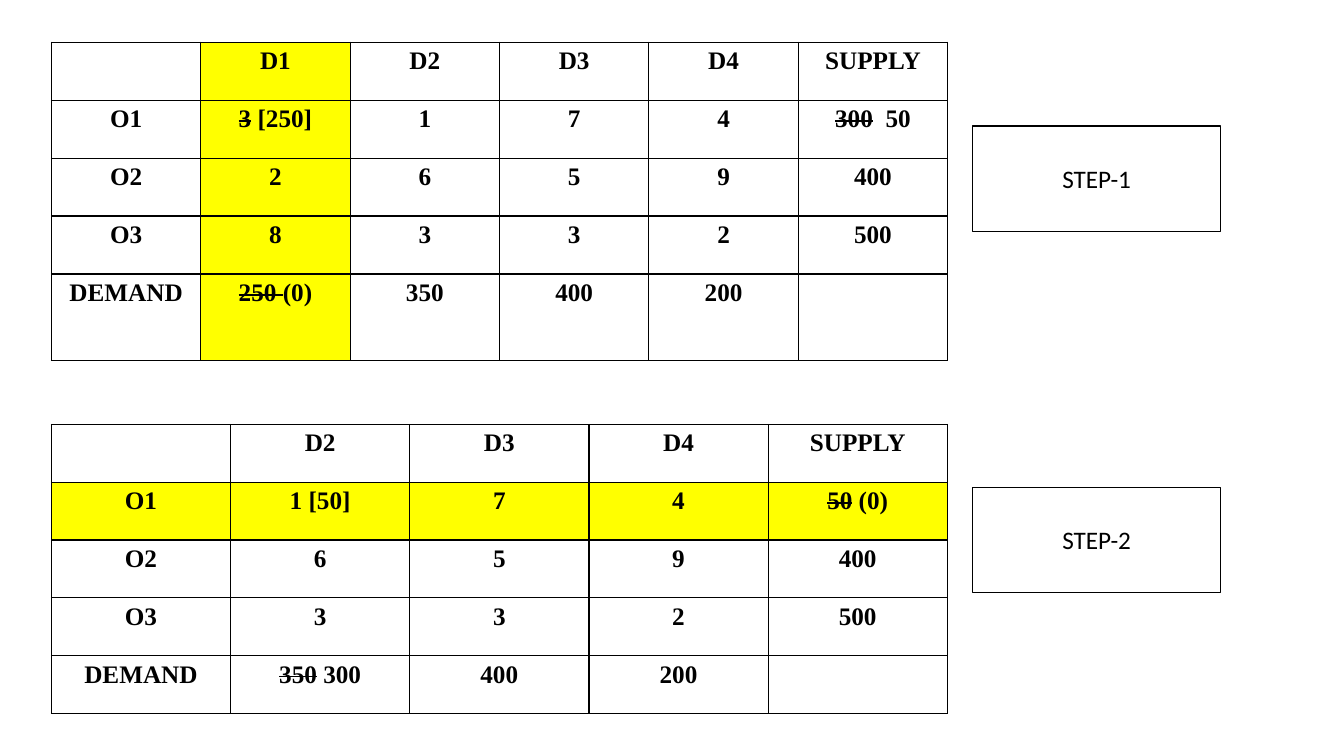
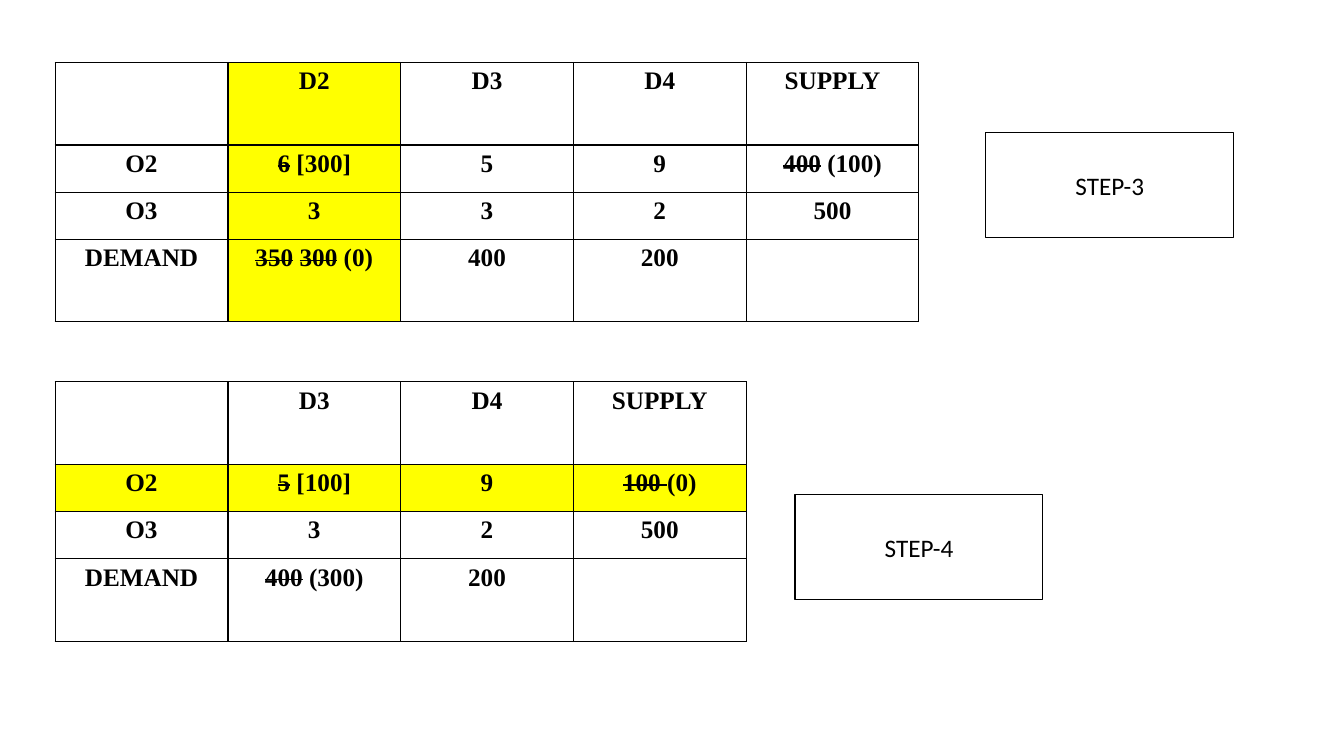
"""Build two slides that work through a transportation problem step by step."""
from dataclasses import dataclass

from lxml import etree
from pptx import Presentation
from pptx.dml.color import RGBColor
from pptx.enum import shapes, text
from pptx.oxml import ns
from pptx.util import Pt


@dataclass(frozen=True)
class Theme:
    """Colours, fonts and sizes shared by all slides."""
    ink: RGBColor = RGBColor(0, 0, 0)
    mark: RGBColor = RGBColor(255, 255, 0)
    cell_font: str = "Times New Roman"
    label_font: str = "Calibri"
    size: float = 18
    border: float = 1
    outline: float = 0.75
    label_width: float = 177.1
    label_height: float = 75.2


THEME = Theme()
CELL_FONT = {"name": THEME.cell_font, "size": Pt(THEME.size), "bold": True}
LABEL_FONT = {"name": THEME.label_font, "size": Pt(THEME.size), "bold": False}
MARGINS = {"margin_left": Pt(8), "margin_right": Pt(8),
           "margin_top": Pt(3.6), "margin_bottom": Pt(3.6)}

SLIDES = [
    [
        {"label": ("STEP-1", 694.8, 90), "at": (36.7, 30.2), "col": 106.7,
         "heights": [41.4, 41.4, 41.4, 41.4, 61.7], "mark_col": 1,
         "rows": ["|D1|D2|D3|D4|SUPPLY",
                  "O1|~3~ [250]|1|7|4|~300~  50",
                  "O2|2|6|5|9|400",
                  "O3|8|3|3|2|500",
                  "DEMAND|~250 ~(0)|350|400|200|"]},
        {"label": ("STEP-2", 694.8, 348), "at": (36.7, 303.1), "col": 128,
         "heights": [41.3] * 5, "mark_row": 1,
         "rows": ["|D2|D3|D4|SUPPLY",
                  "O1|1 [50]|7|4|~50~ (0)",
                  "O2|6|5|9|400",
                  "O3|3|3|2|500",
                  "DEMAND|~350~ 300|400|200|"]},
    ],
    [
        {"label": ("STEP-3", 704.2, 94.8), "at": (39.4, 44.6), "col": 123.4,
         "heights": [59, 33.7, 33.7, 59], "mark_col": 1,
         "rows": ["|D2|D3|D4|SUPPLY",
                  "O2|~6~ [300]|5|9|~400~ (100)",
                  "O3|3|3|2|500",
                  "DEMAND|~350~ ~300~ (0)|400|200|"]},
        {"label": ("STEP-4", 567.9, 353.2), "at": (39.4, 272.6), "col": 123.4,
         "heights": [59, 33.7, 33.7, 59], "mark_row": 1,
         "rows": ["|D3|D4|SUPPLY",
                  "O2|~5~ [100]|9|~100 ~(0)",
                  "O3|3|2|500",
                  "DEMAND|~400~ (300)|200|"]},
    ],
]


def set_attrs(target, values):
    """Set every named attribute on the target."""
    for name, value in values.items():
        setattr(target, name, value)


def write(tf, marked, font):
    """Write centred text, striking out the parts between tildes."""
    p = tf.paragraphs[0]
    p.alignment = text.PP_ALIGN.CENTER
    for i, part in enumerate(marked.split("~")):
        if not part:
            continue
        r = p.add_run()
        r.text = part
        set_attrs(r.font, font)
        r.font.color.rgb = THEME.ink
        if i % 2:
            r._r.get_or_add_rPr().set("strike", "sngStrike")


def add_borders(cell):
    """Draw a solid line on all four sides of a cell."""
    tc_pr = cell._tc.get_or_add_tcPr()
    for i, side in enumerate("LRTB"):
        ln = etree.Element(ns.qn(f"a:ln{side}"), w=str(Pt(THEME.border)))
        fill = etree.SubElement(ln, ns.qn("a:solidFill"))
        etree.SubElement(fill, ns.qn("a:srgbClr"), val=str(THEME.ink))
        tc_pr.insert(i, ln)


def add_cell(cell, marked, highlighted):
    """Fill, frame and write one table cell."""
    set_attrs(cell, MARGINS)
    if highlighted:
        cell.fill.solid()
        cell.fill.fore_color.rgb = THEME.mark
    else:
        cell.fill.background()
    add_borders(cell)
    write(cell.text_frame, marked, CELL_FONT)


def add_grid(s, step):
    """Add the cost table of one step with its highlighted row or column."""
    rows = [row.split("|") for row in step["rows"]]
    n_cols = len(rows[0])
    left, top = step["at"]
    table = s.shapes.add_table(
        len(rows), n_cols, Pt(left), Pt(top),
        Pt(step["col"] * n_cols), Pt(sum(step["heights"]))).table
    set_attrs(table, {"first_row": False, "horz_banding": False})
    for column in table.columns:
        column.width = Pt(step["col"])
    for i, (row, height) in enumerate(zip(rows, step["heights"])):
        table.rows[i].height = Pt(height)
        for j, marked in enumerate(row):
            highlighted = i == step.get("mark_row") or j == step.get("mark_col")
            add_cell(table.cell(i, j), marked, highlighted)


def add_label(s, caption, left, top):
    """Add an outlined box that names the step."""
    sp = s.shapes.add_shape(
        shapes.MSO_SHAPE.RECTANGLE, Pt(left), Pt(top),
        Pt(THEME.label_width), Pt(THEME.label_height))
    sp.shadow.inherit = False
    sp.fill.background()
    sp.line.color.rgb = THEME.ink
    sp.line.width = Pt(THEME.outline)
    set_attrs(sp.text_frame, {"word_wrap": True,
                              "vertical_anchor": text.MSO_ANCHOR.MIDDLE})
    write(sp.text_frame, caption, LABEL_FONT)


def main():
    """Build and save the presentation."""
    prs = Presentation()
    prs.slide_width, prs.slide_height = Pt(960), Pt(540)
    blank = prs.slide_layouts[6]
    for steps in SLIDES:
        s = prs.slides.add_slide(blank)
        for step in steps:
            add_grid(s, step)
        for step in steps:
            add_label(s, *step["label"])
    prs.save("out.pptx")


main()
